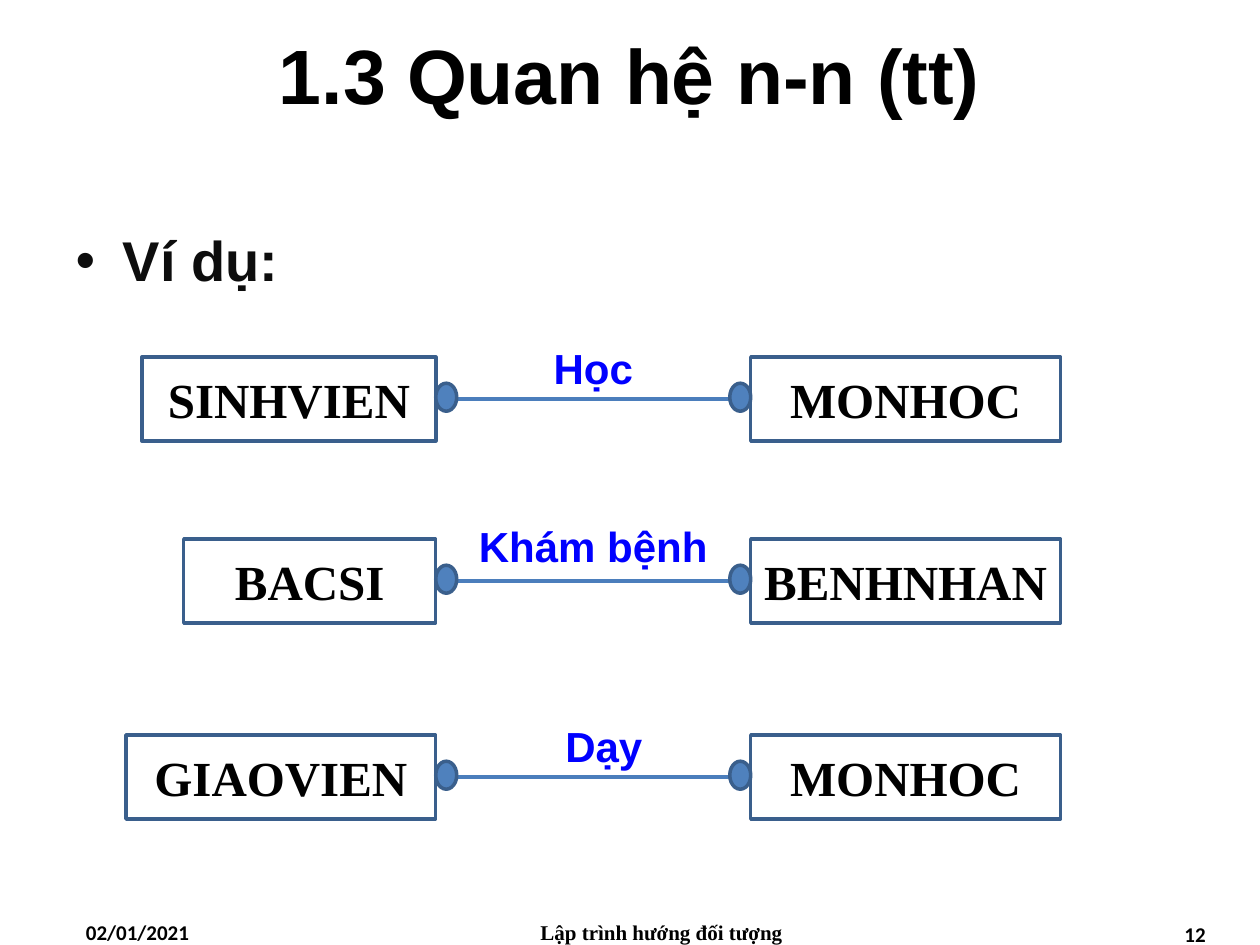
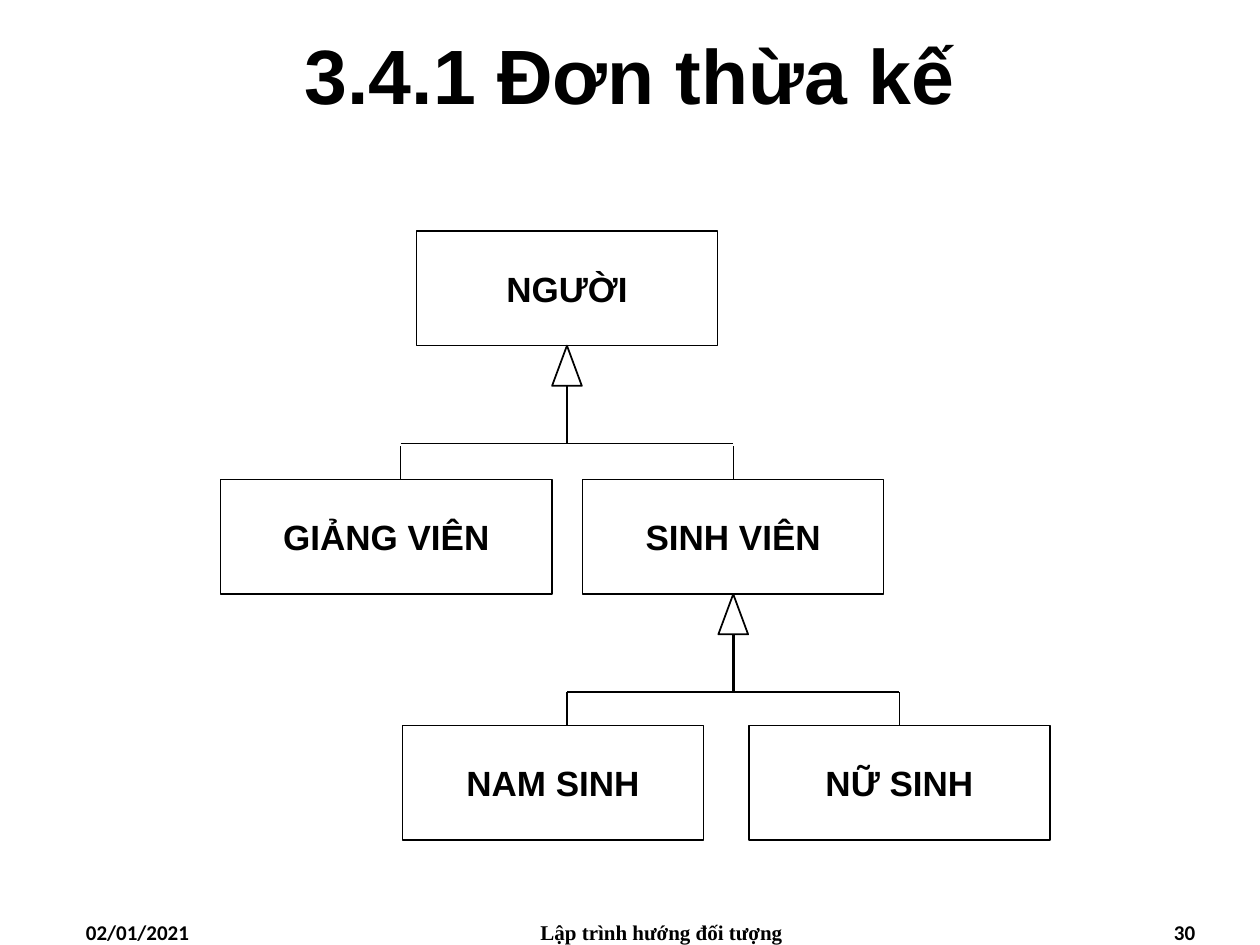
from lxml import etree
from pptx import Presentation
from pptx import util as u
from pptx.dml.color import RGBColor
from pptx.enum import shapes, text
from pptx.oxml import ns

# Shared look
BLACK, INK, BLUE = "000000", "0D0D0D", "0000FF"
EDGE, DOT, LINK = "3A5F8C", "4F81BD", "4B7EBC"
LEFT, CENTER, RIGHT, JUSTIFY = (text.PP_ALIGN.LEFT, text.PP_ALIGN.CENTER,
                                text.PP_ALIGN.RIGHT, text.PP_ALIGN.JUSTIFY)
TOP, MIDDLE = text.MSO_ANCHOR.TOP, text.MSO_ANCHOR.MIDDLE
TITLE = dict(name="Arial", size=44, bold=True, color=BLACK)
BODY = dict(name="Arial", size=32, bold=True, color=INK)
ENTITY = dict(name="Times New Roman", size=28, bold=True, color=BLACK)
RELATION = dict(name="Arial", size=24, bold=True, color=BLUE)
CLASS = dict(name="Arial", size=20, bold=True, color=BLACK)
NUMBER = dict(name="Calibri", size=12, bold=True, color=BLACK)
COURSE = dict(NUMBER, name="Times New Roman")
FOOTERS = [  # text, box, alignment, format
    ("02/01/2021", (42, 522, 168, 18), LEFT, NUMBER),
    ("Lập trình hướng đối tượng", (264, 522, 228, 18), CENTER, COURSE),
]

# Relations: left entity, its width, relation, label (left, rise, width), right entity, top
RELATIONS = [
    ("SINHVIEN", 168, "Học", (267, 12, 144), "MONHOC", 204),
    ("BACSI", 144, "Khám bệnh", (264, 14, 150), "BENHNHAN", 308),
    ("GIAOVIEN", 177, "Dạy", (279, 12, 132), "MONHOC", 420),
]
LINK_START, LINK_END, RIGHT_WIDTH, ENTITY_HEIGHT = 249, 429, 177, 48
DOT_WIDTH, DOT_HEIGHT, DOT_DROP = 12, 16, 15

# Classes: name -> left, top, width
CLASSES = {
    "NGƯỜI": (238, 132, 172),
    "GIẢNG VIÊN": (126, 274, 189.5),
    "SINH VIÊN": (333, 274, 172),
    "NAM SINH": (230, 414.5, 172),
    "NỮ SINH": (428, 414.5, 172),
}
# Parent, children, gap under the bar
FAMILIES = [
    ("NGƯỜI", ("GIẢNG VIÊN", "SINH VIÊN"), 1.5),
    ("SINH VIÊN", ("NAM SINH", "NỮ SINH"), 0),
]
CLASS_HEIGHT, BAR_DROP, SPREAD = 65.5, 56, 95
HEAD_WIDTH, HEAD_HEIGHT = 17, 23


def color(value):
    return RGBColor.from_string(value)


def place(shape, box):
    for name, value in zip(("left", "top", "width", "height"), box):
        setattr(shape, name, u.Pt(value))


def write(shape, words, style, align=CENTER, anchor=MIDDLE, wrap=True):
    frame = shape.text_frame
    frame.text = words
    frame.word_wrap = wrap
    frame.vertical_anchor = anchor
    paragraph = frame.paragraphs[0]
    paragraph.alignment = align
    for name, value in style.items():
        if name == "color":
            paragraph.font.color.rgb = color(value)
        else:
            setattr(paragraph.font, name, u.Pt(value) if name == "size" else value)
    return paragraph


def add_label(slide, words, box, style, align=CENTER):
    label = slide.shapes.add_textbox(*map(u.Pt, box))
    write(label, words, style, align, TOP)


def add_shape(slide, kind, box, line, weight, fill=None):
    shape = slide.shapes.add_shape(kind, *map(u.Pt, box))
    shape.shadow.inherit = False
    if fill:
        shape.fill.solid()
        shape.fill.fore_color.rgb = color(fill)
    else:
        shape.fill.background()
    shape.line.color.rgb = color(line)
    shape.line.width = u.Pt(weight)
    return shape


def add_box(slide, words, box, style, line, weight):
    shape = add_shape(slide, shapes.MSO_SHAPE.RECTANGLE, box, line, weight)
    write(shape, words, style, wrap=False)
    return shape


def add_line(slide, start, end, line, weight):
    connector = slide.shapes.add_connector(
        shapes.MSO_CONNECTOR.STRAIGHT, *map(u.Pt, (*start, *end)))
    connector.line.color.rgb = color(line)
    connector.line.width = u.Pt(weight)
    etree.SubElement(connector._element.spPr, ns.qn("a:effectLst"))
    return connector


def add_slide(presentation, layout, title, number, number_box):
    slide = presentation.slides.add_slide(presentation.slide_layouts[layout])
    place(slide.shapes.title, (0, 0, 720, 84))
    write(slide.shapes.title, title, TITLE)
    for footer in FOOTERS + [(number, number_box, RIGHT, NUMBER)]:
        words, box, align, style = footer
        add_label(slide, words, box, style, align)
    return slide


def add_bullet(slide, words):
    body = slide.placeholders[1]
    place(body, (36, 114, 660, 65))
    body.text_frame.text = words
    properties = body.text_frame.paragraphs[0]._p.get_or_add_pPr()
    properties.set("marL", str(u.Pt(37)))
    properties.set("indent", str(u.Pt(-37)))
    etree.SubElement(properties, ns.qn("a:buChar")).set("char", "❖")
    paragraph = write(body, words, BODY, JUSTIFY, TOP)
    paragraph.line_spacing = 1.3
    paragraph.space_before = u.Pt(0)
    paragraph.space_after = u.Pt(3)


def build_relations(presentation):
    slide = add_slide(presentation, 1, "1.3 Quan hệ n-n (tt)", "12", (528, 523, 168, 18))
    add_bullet(slide, "Ví dụ:")
    for left_name, left_width, relation, label, right_name, top in RELATIONS:
        left_box = (LINK_START - left_width, top, left_width, ENTITY_HEIGHT)
        right_box = (LINK_END, top, RIGHT_WIDTH, ENTITY_HEIGHT)
        left_entity = add_box(slide, left_name, left_box, ENTITY, EDGE, 2)
        right_entity = add_box(slide, right_name, right_box, ENTITY, EDGE, 2)
        middle = top + ENTITY_HEIGHT / 2
        link = add_line(slide, (LINK_START, middle), (LINK_END, middle), LINK, 2)
        link.begin_connect(left_entity, 3)
        link.end_connect(right_entity, 1)
        label_left, rise, label_width = label
        add_label(slide, relation, (label_left, top - rise, label_width, 36), RELATION)
        # Dots at both ends mark "many"
        for dot_left in (LINK_START, LINK_END - DOT_WIDTH):
            dot_box = (dot_left, top + DOT_DROP, DOT_WIDTH, DOT_HEIGHT)
            add_shape(slide, shapes.MSO_SHAPE.OVAL, dot_box, EDGE, 2, DOT)


def build_inheritance(presentation):
    slide = add_slide(presentation, 5, "3.4.1 Đơn thừa kế", "30", (522, 522, 168, 18))
    boxes = {name: add_box(slide, name, (*spot, CLASS_HEIGHT), CLASS, BLACK, 0.75)
             for name, spot in CLASSES.items()}
    for parent, children, gap in FAMILIES:
        left, top, width = CLASSES[parent]
        center, bottom = left + width / 2, top + CLASS_HEIGHT
        bar = bottom + BAR_DROP
        # Arrowhead, stem and bar
        add_shape(slide, shapes.MSO_SHAPE.ISOSCELES_TRIANGLE,
                  (center - HEAD_WIDTH / 2, bottom, HEAD_WIDTH, HEAD_HEIGHT), BLACK, 1)
        add_line(slide, (center, bar), (center, bottom + HEAD_HEIGHT), BLACK, 1.5)
        add_line(slide, (center - SPREAD, bar), (center + SPREAD, bar), BLACK, 0.75)
        # Drops to the children
        for child, x in zip(children, (center - SPREAD, center + SPREAD)):
            child_left, child_top, child_width = CLASSES[child]
            drop = add_line(slide, (x, bar + gap), (x, child_top), BLACK, 0.75)
            if abs(child_left + child_width / 2 - x) < 0.5:
                drop.end_connect(boxes[child], 0)


def main():
    presentation = Presentation()
    presentation.slide_width, presentation.slide_height = u.Pt(720), u.Pt(540)
    build_relations(presentation)
    build_inheritance(presentation)
    presentation.save("out.pptx")


if __name__ == "__main__":
    main()
